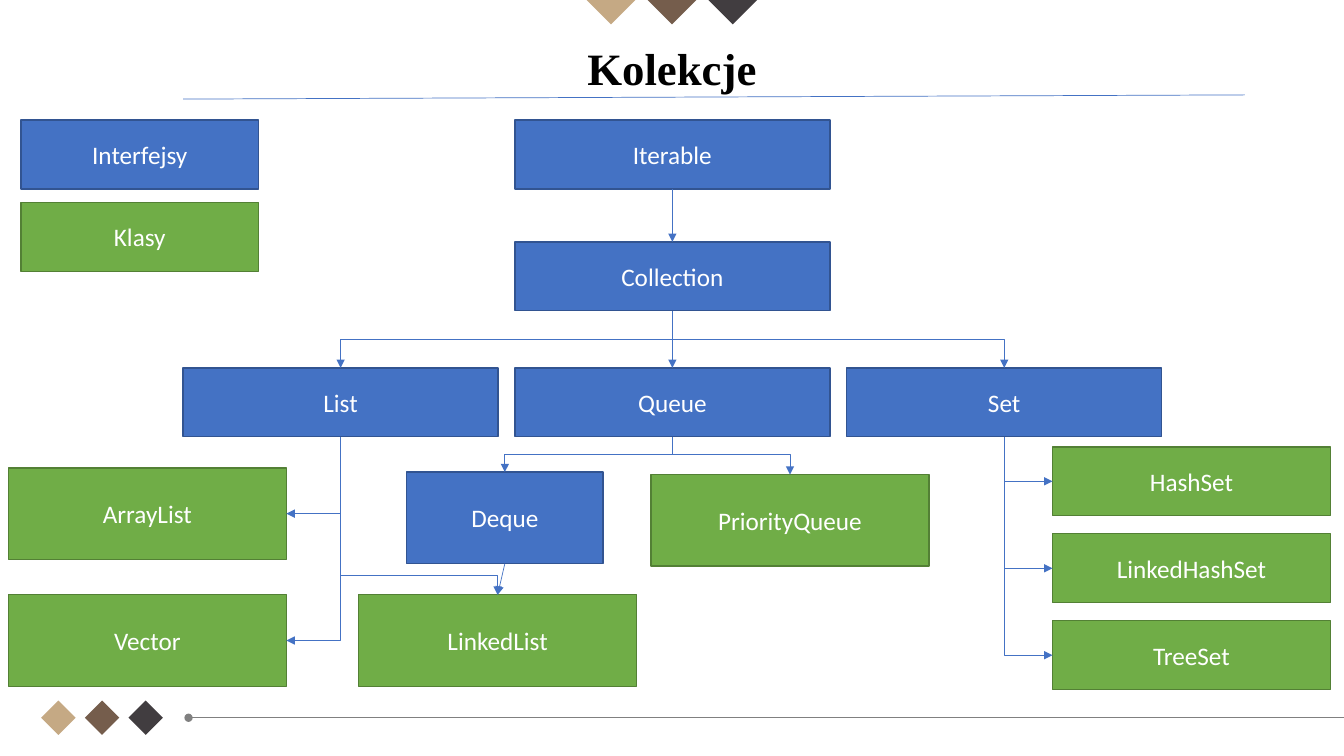
from typing import NamedTuple

from lxml.etree import SubElement
from pptx import Presentation
from pptx.dml.color import RGBColor
from pptx.enum.shapes import MSO_CONNECTOR, MSO_SHAPE
from pptx.enum.text import MSO_ANCHOR, PP_ALIGN
from pptx.oxml.ns import qn
from pptx.util import Inches, Pt

WHITE = RGBColor(0xFF, 0xFF, 0xFF)
BLACK = RGBColor(0x00, 0x00, 0x00)
GRAY = RGBColor(0x80, 0x80, 0x80)
BLUE = RGBColor(0x44, 0x72, 0xC4)
DARK_BLUE = RGBColor(0x32, 0x54, 0x91)
GREEN = RGBColor(0x70, 0xAD, 0x47)
DARK_GREEN = RGBColor(0x53, 0x80, 0x35)
TAN = RGBColor(0xC5, 0xA9, 0x84)
BROWN = RGBColor(0x75, 0x5D, 0x4C)
CHARCOAL = RGBColor(0x41, 0x3D, 0x40)

INTERFACE = (BLUE, DARK_BLUE)
CLASS = (GREEN, DARK_GREEN)
COLUMNS, ROWS = 160, 90
UNIT = Inches(7.5) // ROWS
TOP, LEFT, BOTTOM, RIGHT = range(4)


class Box(NamedTuple):
    """An area measured in columns and rows of the slide grid."""

    left: float
    top: float
    width: float
    height: float

    def inside(self, left, top, width, height):
        """Return a box placed relative to this one."""
        return Box(self.left + left, self.top + top, width, height)

    def lengths(self):
        """Return the four lengths in slide units."""
        return [round(length * UNIT) for length in self]


def add_filled(slide, preset, box, fill):
    """Add a preset shape with a plain fill and no outline."""
    shape = slide.shapes.add_shape(preset, *box.lengths())
    shape.shadow.inherit = False
    shape.fill.solid()
    shape.fill.fore_color.rgb = fill
    shape.line.fill.background()
    return shape


def add_text(shape, text, font_name, size, color, bold=False):
    """Write one centred run into a shape."""
    paragraph = shape.text_frame.paragraphs[0]
    paragraph.alignment = PP_ALIGN.CENTER
    run = paragraph.add_run()
    run.text = text
    run.font.name = font_name
    run.font.size = Pt(size)
    run.font.bold = bold
    run.font.color.rgb = color


def add_type_box(slide, box, name, kind):
    """Add a rectangle that names an interface or a class."""
    fill, outline = kind
    shape = add_filled(slide, MSO_SHAPE.RECTANGLE, box, fill)
    shape.line.color.rgb = outline
    shape.line.width = Pt(1)
    shape.text_frame.word_wrap = True
    shape.text_frame.vertical_anchor = MSO_ANCHOR.MIDDLE
    add_text(shape, name, "Calibri", 18, WHITE)
    return shape


def add_line(slide, kind, ends, color, head=None, tail=None):
    """Add a thin connector with optional end marks."""
    connector = slide.shapes.add_connector(kind, *[round(end * UNIT) for end in ends])
    connector.line.color.rgb = color
    connector.line.width = Pt(0.5)
    line = connector.line._get_or_add_ln()
    for tag, mark in (("a:headEnd", head), ("a:tailEnd", tail)):
        if mark:
            SubElement(line, qn(tag)).set("type", mark)
    SubElement(connector.element.spPr, qn("a:effectLst"))
    return connector


def bend(connector, preset, share):
    """Turn a connector into an elbow that leaves downwards."""
    start_x, start_y = connector.begin_x, connector.begin_y
    across, down = connector.end_x - start_x, connector.end_y - start_y
    connector.left = start_x + (across - down) // 2
    connector.top = start_y + (down - abs(across)) // 2
    connector.width, connector.height = down, abs(across)
    frame = connector.element.spPr.find(qn("a:xfrm"))
    frame.set("rot", "16200000" if across > 0 else "5400000")
    frame.set("flipH", "1" if across > 0 else "0")
    frame.set("flipV", "0")
    geometry = connector.element.spPr.find(qn("a:prstGeom"))
    geometry.set("prst", preset)
    if preset == "bentConnector3":
        guide = SubElement(geometry.find(qn("a:avLst")), qn("a:gd"))
        guide.set("name", "adj1")
        guide.set("fmla", f"val {round(share * 100000)}")


def link(slide, parent, child, side=TOP, share=0.5, straight=False):
    """Draw an arrow from the bottom of a parent to a side of a child."""
    kind = MSO_CONNECTOR.STRAIGHT if straight else MSO_CONNECTOR.ELBOW
    connector = add_line(slide, kind, (0, 0, 1, 1), BLUE, tail="triangle")
    connector.begin_connect(parent, BOTTOM)
    connector.end_connect(child, side)
    if not straight:
        bend(connector, "bentConnector3" if side == TOP else "bentConnector2", share)


def draw_diamonds(slide, box, pitch):
    """Draw three diamonds in a row, each as high as the box."""
    for index, color in enumerate((TAN, BROWN, CHARCOAL)):
        place = box.inside(index * pitch, 0, box.height, box.height)
        add_filled(slide, MSO_SHAPE.DIAMOND, place, color)


def draw_footer(slide, box):
    """Draw the diamonds and the rule at the foot of the slide."""
    draw_diamonds(slide, box.inside(4.9, 0, 14.5, box.height), 5.2)
    middle = box.top + box.height / 2
    ends = (box.left + 22.45, middle, box.left + box.width, middle)
    add_line(slide, MSO_CONNECTOR.STRAIGHT, ends, GRAY, head="oval")


def draw_title(slide, box):
    """Draw the title and the slightly rising line below it."""
    title = slide.shapes.add_textbox(*box.inside(64.9, 0, 30.2, box.height).lengths())
    title.text_frame.word_wrap = True
    add_text(title, "Kolekcje", "Times New Roman", 32, BLACK, bold=True)
    ends = (box.left + 21.8, box.top + 7.6, box.left + 148.2, box.top + 7.1)
    add_line(slide, MSO_CONNECTOR.STRAIGHT, ends, BLUE)


def draw_hierarchy(slide, box):
    """Draw the tree of collection types with its arrows."""
    wide, low, narrow, high = 37.5, 8.2, 33.1, 10.9
    first, pitch = 21.8, 39.5
    center = first + pitch
    set_left, set_top, set_pitch = 125.3, 38.9, 10.35
    layout = [
        ("Iterable", INTERFACE, center, 0, wide, low),
        ("Collection", INTERFACE, center, 14.5, wide, low),
        ("ArrayList", CLASS, 1, 41.4, narrow, high),
        ("Vector", CLASS, 1, 56.5, narrow, high),
        ("LinkedList", CLASS, 42.7, 56.5, narrow, high),
        ("PriorityQueue", CLASS, 77.5, 42.2, narrow, high),
        ("Deque", INTERFACE, 48.4, 41.9, 23.4, high),
    ]
    for index, name in enumerate(("List", "Queue", "Set")):
        layout.append((name, INTERFACE, first + index * pitch, 29.5, wide, low))
    for index, name in enumerate(("HashSet", "LinkedHashSet", "TreeSet")):
        layout.append((name, CLASS, set_left, set_top + index * set_pitch, narrow, low))
    types = {
        name: add_type_box(slide, box.inside(*place), name, kind)
        for name, kind, *place in layout
    }
    for parent, child, options in (
        ("Iterable", "Collection", {"straight": True}),
        ("Collection", "List", {}),
        ("Collection", "Queue", {"straight": True}),
        ("Collection", "Set", {}),
        ("Queue", "Deque", {}),
        ("Queue", "PriorityQueue", {"share": 0.46}),
        ("Deque", "LinkedList", {"straight": True}),
        ("List", "LinkedList", {"share": 0.88}),
        ("List", "ArrayList", {"side": RIGHT}),
        ("List", "Vector", {"side": RIGHT}),
        ("Set", "HashSet", {"side": LEFT}),
        ("Set", "LinkedHashSet", {"side": LEFT}),
        ("Set", "TreeSet", {"side": LEFT}),
    ):
        link(slide, types[parent], types[child], **options)


def draw_legend(slide, box):
    """Draw the key to the two colours."""
    for index, (name, kind) in enumerate((("Interfejsy", INTERFACE), ("Klasy", CLASS))):
        add_type_box(slide, box.inside(0, index * 9.8, box.width, 8.2), name, kind)


def main():
    """Build and save the slide."""
    presentation = Presentation()
    presentation.slide_width = COLUMNS * UNIT
    presentation.slide_height = ROWS * UNIT
    slide = presentation.slides.add_slide(presentation.slide_layouts[6])
    draw_diamonds(slide, Box(69.85, -2.9, 20.3, 5.8), 7.25)
    draw_footer(slide, Box(0, 83.4, COLUMNS, 4.1))
    draw_title(slide, Box(0, 4.2, COLUMNS, 7.7))
    draw_hierarchy(slide, Box(0, 14.3, COLUMNS, 67.6))
    draw_legend(slide, Box(2.5, 14.3, 28.3, 18))
    presentation.save("out.pptx")


main()
